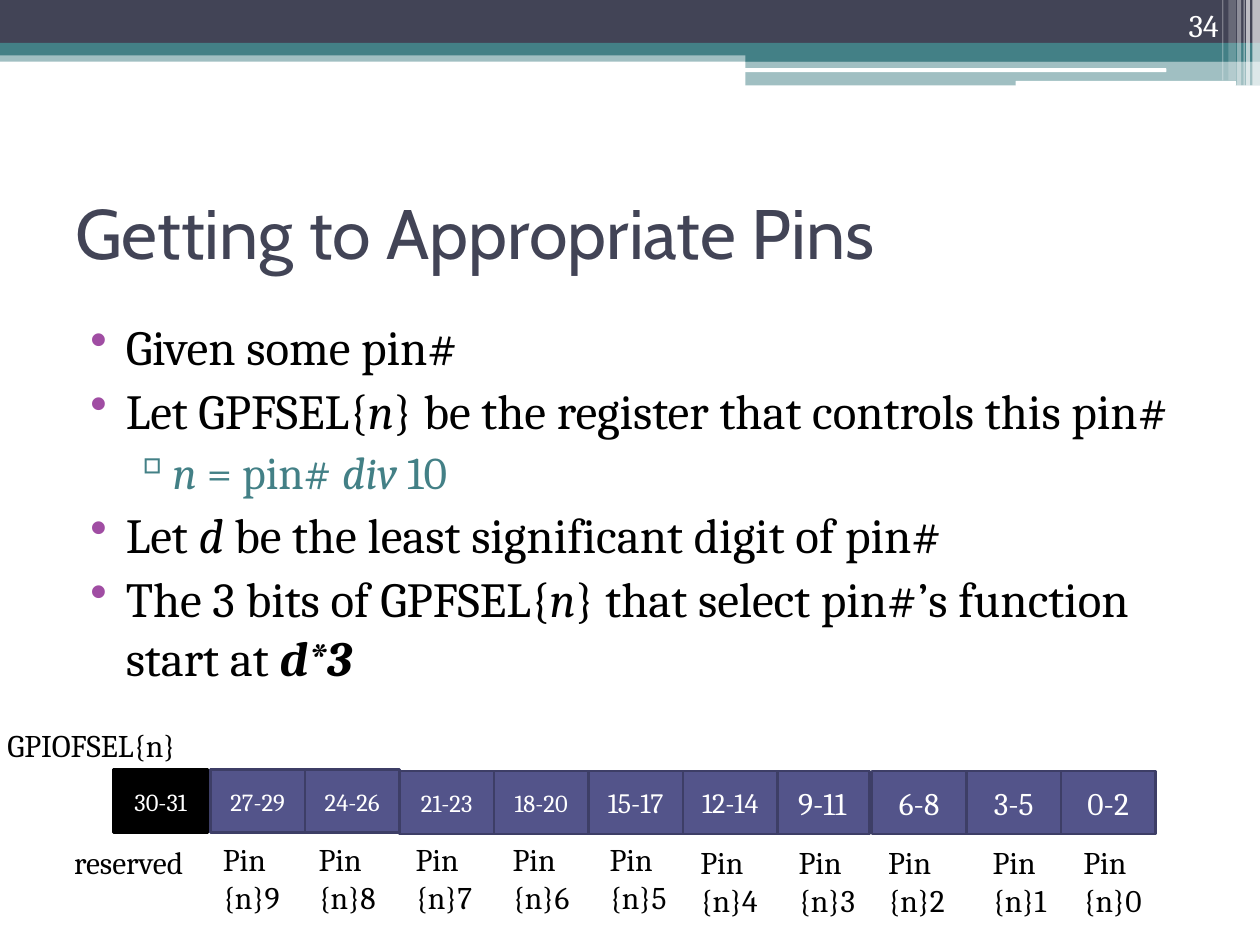
"""Build the slide on finding the register bits that control a GPIO pin."""
from dataclasses import dataclass

from lxml import etree
from pptx import Presentation
from pptx.dml.color import RGBColor
from pptx.enum import shapes, text
from pptx.oxml.ns import qn
from pptx.util import Pt


@dataclass(frozen=True)
class Theme:
    heading: str = "Cabin"
    body: str = "Cambria"
    black: str = "000000"
    white: str = "FFFFFF"
    slate: str = "424456"
    teal: str = "438086"
    purple: str = "A04DA3"
    indigo: str = "53548A"
    edge: str = "3D3E66"
    title_size: int = 40
    point_size: int = 28
    subpoint_size: int = 26
    label_size: int = 18


theme = Theme()
deck = Presentation()
deck.slide_width, deck.slide_height = Pt(720), Pt(540)
page = deck.slides.add_slide(deck.slide_layouts[6])


def add_block(place, color, opacity=100, kind=shapes.MSO_SHAPE.RECTANGLE, edge=None):
    block = page.shapes.add_shape(kind, *map(Pt, place))
    block.shadow.inherit = False
    block.fill.solid()
    block.fill.fore_color.rgb = RGBColor.from_string(color)
    if opacity < 100:
        color_node = block._element.spPr.find(qn("a:solidFill"))[0]
        etree.SubElement(color_node, qn("a:alpha"), val=str(opacity * 1000))
    if edge:
        block.line.color.rgb = RGBColor.from_string(edge)
        block.line.width = Pt(1.5)
    else:
        block.line.fill.background()
    return block


def write(box, lines, size, color, font=theme.body, align=text.PP_ALIGN.LEFT,
          anchor=text.MSO_ANCHOR.TOP, wrap=True):
    frame = box.text_frame
    frame.word_wrap = wrap
    frame.vertical_anchor = anchor
    frame.text = "\n".join(lines)
    for para in frame.paragraphs:
        para.alignment = align
        for span in para.runs:
            span.font.name, span.font.size = font, Pt(size)
            span.font.color.rgb = RGBColor.from_string(color)


bands = [
    ((0, 28.8, 720, 6.5), theme.teal, 50),
    ((0, 0, 720, 24.5), theme.slate, 100),
    ((0, 24.5, 720, 7.2), theme.teal, 100),
    ((426, 28, 294, 7.2), theme.teal, 100),
    ((426, 34.8, 294, 14), theme.teal, 50),
]
for place, color, opacity in bands:
    add_block(place, color, opacity)

for place in [(425.5, 39, 241, 2.2), (580.3, 46.2, 126, 2.9)]:
    add_block(place, theme.white, kind=shapes.MSO_SHAPE.ROUNDED_RECTANGLE)

stripes = [
    (715.7, 4.3, 49, 65), (712.1, 2.2, 49, 65), (710.6, 0.7, 49, 60),
    (707, 2.2, 49, 40), (702, 4.3, 46, 20), (698.4, 0.7, 46, 30),
]
for left, width, height, opacity in stripes:
    add_block((left, 0, width, height), theme.white, opacity)

title = page.shapes.add_textbox(Pt(36), Pt(90), Pt(648), Pt(84.24))
write(title, ["Getting to Appropriate Pins"], theme.title_size, theme.slate,
      theme.heading, anchor=text.MSO_ANCHOR.MIDDLE)

points = [
    (0, [("Given some pin#", "")]),
    (0, [("Let GPFSEL{", ""), ("n", "i"), ("} be the register that controls this pin#", "")]),
    (1, [("n", "i"), (" = pin# ", ""), ("div", "i"), (" 10", "")]),
    (0, [("Let ", ""), ("d", "i"), (" be the least significant digit of pin#", "")]),
    (0, [("The 3 bits of GPFSEL{", ""), ("n", "i"),
         ("} that select pin#’s function start at ", ""), ("d*3", "bi")]),
]
levels = [
    ("•", theme.purple, theme.black, theme.point_size, 28.8, -20.16),
    ("▫", theme.teal, theme.teal, theme.subpoint_size, 51.84, -19.44),
]
body = page.shapes.add_textbox(Pt(36), Pt(177.12), Pt(648), Pt(231.12))
body.text_frame.word_wrap = True
for index, (level, spans) in enumerate(points):
    bullet, bullet_color, color, size, margin, indent = levels[level]
    para = body.text_frame.add_paragraph() if index else body.text_frame.paragraphs[0]
    para.level = level
    para.space_before = Pt(3 if index else 0)
    props = para._p.get_or_add_pPr()
    props.set("marL", str(Pt(margin)))
    props.set("indent", str(Pt(indent)))
    tint = etree.SubElement(props, qn("a:buClr"))
    etree.SubElement(tint, qn("a:srgbClr"), val=bullet_color)
    etree.SubElement(props, qn("a:buChar"), char=bullet)
    for words, style in spans:
        span = para.add_run()
        span.text = words
        span.font.name, span.font.size = theme.body, Pt(size)
        span.font.color.rgb = RGBColor.from_string(color)
        span.font.bold, span.font.italic = "b" in style, "i" in style

fields = [
    ("0-2", 18, 606.24, 612, 51.84), ("3-5", 18, 552.24, 560.16, 48.96),
    ("6-8", 18, 498.24, 500.4, 51.12), ("9-11", 18, 442.8, 449.28, 51.12),
    ("12-14", 16, 390.24, 393.12, 51.12), ("15-17", 16, 336.24, 341.28, 50.4),
    ("18-20", 14, 282.24, 285.84, 51.12), ("21-23", 14, 228.24, 230.4, 49.68),
    ("24-26", 14, 174.24, 174.96, 51.84), ("27-29", 14, 120.24, 120.24, 51.12),
    ("30-31", 14, 64.8, 35.28, 83.52),
]
labels = [((-2.88, 411.12, 129.6, 28.8), ["GPIOFSEL{n}"])]
for pin, (bits, size, left, label_left, label_width) in enumerate(fields):
    reserved = pin == 10
    fill, edge = (theme.black, theme.black) if reserved else (theme.indigo, theme.edge)
    cell = add_block((left, 440.64 if pin < 8 else 439.92, 54, 36), fill, edge=edge)
    write(cell, [bits], size, theme.white, align=text.PP_ALIGN.CENTER,
          anchor=text.MSO_ANCHOR.MIDDLE)
    label_top = 476.64 if 5 <= pin <= 9 else 478.08
    labels.append(((label_left, label_top, label_width, 28.8 if reserved else 51.12),
                   ["reserved"] if reserved else ["Pin", f"{{n}}{pin}"]))

for place, lines in labels:
    label = page.shapes.add_textbox(*map(Pt, place))
    write(label, lines, theme.label_size, theme.black, wrap=False)

number = page.shapes.add_textbox(Pt(643.68), Pt(0), Pt(59.76), Pt(28.8))
write(number, ["34"], theme.label_size, theme.white, align=text.PP_ALIGN.RIGHT,
      anchor=text.MSO_ANCHOR.BOTTOM)

deck.save("out.pptx")
